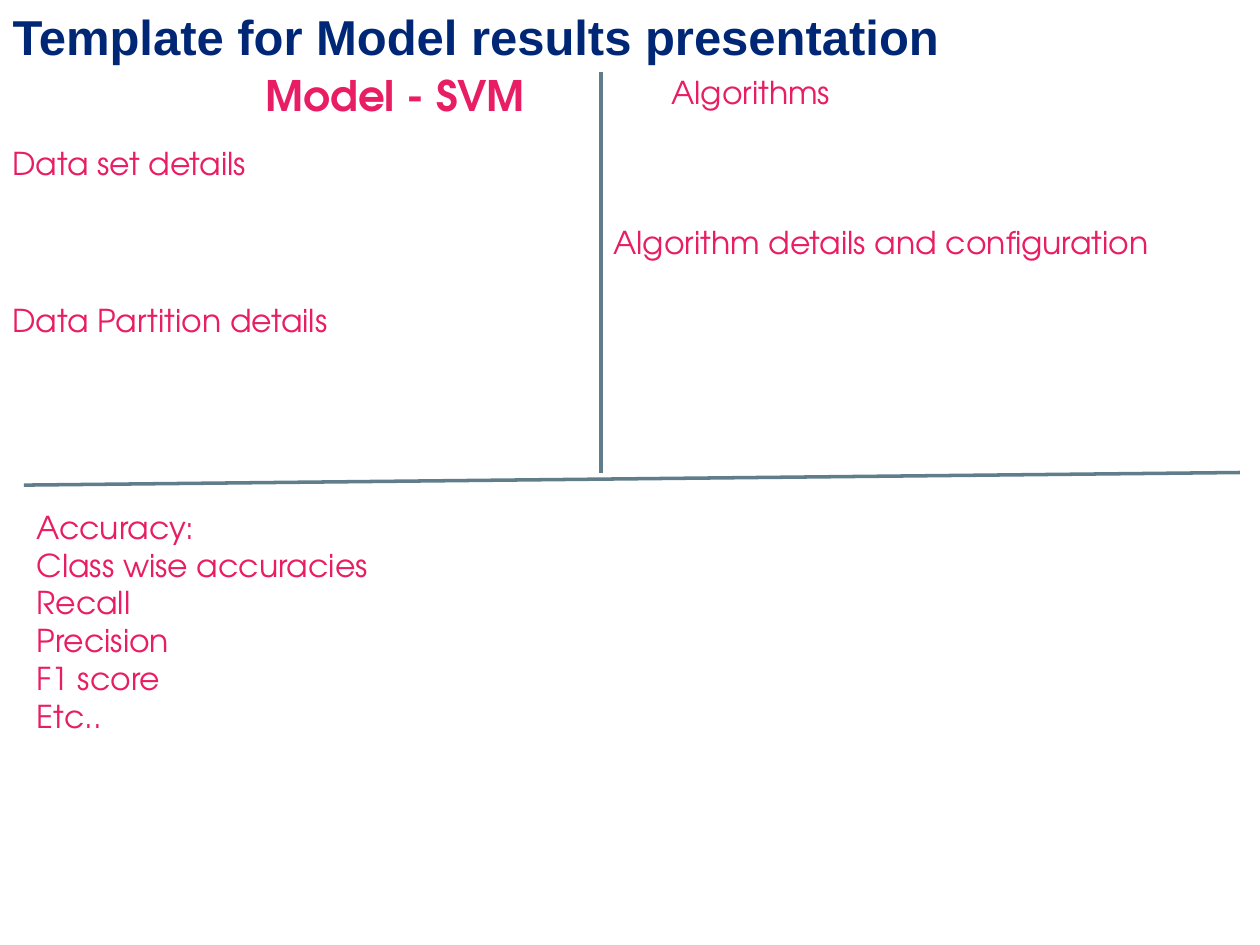
from lxml import etree
from pptx import Presentation, util as u
from pptx.dml.color import RGBColor
from pptx.enum import shapes, text
from pptx.oxml.ns import qn

COLS, ROWS = 100, 75
CELL = u.Inches(0.1)
SPLIT, MARGIN = 47.7, 1.9
HEADING = {"name": "Arial", "size": u.Pt(28), "bold": True}
LABEL = {"name": "TeX Gyre Adventor", "size": u.Pt(18), "bold": False}
MODEL = {**LABEL, "size": u.Pt(24), "bold": True}
NAVY, PINK, SLATE = "002776", "E91D63", "607D8B"
METRICS = ["Accuracy:", "Class wise accuracies", "Recall", "Precision", "F1 score", "Etc.."]


def grid(*cells):
    """Turn grid columns and rows into slide lengths."""
    return [u.Emu(round(c * CELL)) for c in cells]


def color(fmt, value):
    """Apply a hex colour to a font or line colour."""
    fmt.rgb = RGBColor.from_string(value)


def write(sp, box, lines, font, value):
    """Place a text shape in its box and fill it with formatted lines."""
    sp.left, sp.top, sp.width, sp.height = grid(*box)
    tf = sp.text_frame
    frame = {"word_wrap": True, "auto_size": text.MSO_AUTO_SIZE.NONE,
             "vertical_anchor": text.MSO_ANCHOR.TOP}
    for key, val in frame.items():
        setattr(tf, key, val)
    tf.text = "\n".join(lines)
    for p in tf.paragraphs:
        p.alignment, p.space_before = text.PP_ALIGN.LEFT, u.Pt(0)
        r = p.runs[0]
        for key, val in font.items():
            setattr(r.font, key, val)
        color(r.font.color, value)


def label(s, box, line, font=LABEL):
    """Add a one-line pink label."""
    write(s.shapes.add_textbox(*grid(*box)), box, [line], font, PINK)


def rule(s, *ends):
    """Draw a dividing line between two grid points."""
    sp = s.shapes.add_connector(shapes.MSO_CONNECTOR.STRAIGHT, *grid(*ends))
    sp.line.width = u.Pt(2)
    color(sp.line.color, SLATE)
    etree.SubElement(sp._element.spPr, qn("a:effectLst"))


def data_region(s, x, y, w, h):
    """Lay out the model name and the data headings."""
    label(s, (x + 20.1, y, 26.5, 5), "Model - SVM", MODEL)
    label(s, (x, y + 5.9, 21.6, 4), "Data set details")
    label(s, (x, y + 18.4, 28.2, 4), "Data Partition details")
    rule(s, x + w, y + 0.7, x + w, y + h)


def algorithm_region(s, x, y, w, h):
    """Lay out the algorithm headings and the slanted base line."""
    label(s, (x + 4.6, y + 0.3, 16.6, 4), "Algorithms")
    label(s, (x, y + 12.2, w, 4), "Algorithm details and configuration")
    rule(s, MARGIN, y + h + 1, x + w - 1.6, y + h)


def metrics_region(s, x, y, w, h):
    """List the metrics in the body placeholder without bullets."""
    sp = s.placeholders[1]
    write(sp, (x, y, w, h), METRICS, LABEL, PINK)
    for p in sp.text_frame.paragraphs:
        pPr = p._p.get_or_add_pPr()
        pPr.set("marL", "0")
        pPr.set("indent", "0")
        etree.SubElement(pPr, qn("a:buNone"))


def main():
    """Build and save the model results slide."""
    prs = Presentation()
    prs.slide_width, prs.slide_height = grid(COLS, ROWS)
    s = prs.slides.add_slide(prs.slide_layouts[1])
    write(s.shapes.title, (0, 0, 84.9, 5.7),
          ["Template for Model results presentation"], HEADING, NAVY)
    data_region(s, 0, 5, SPLIT, 32.5)
    algorithm_region(s, SPLIT, 5, COLS - SPLIT, 32.5)
    metrics_region(s, MARGIN, 39.8, 57.1, 22.2)
    prs.save("out.pptx")


if __name__ == "__main__":
    main()
